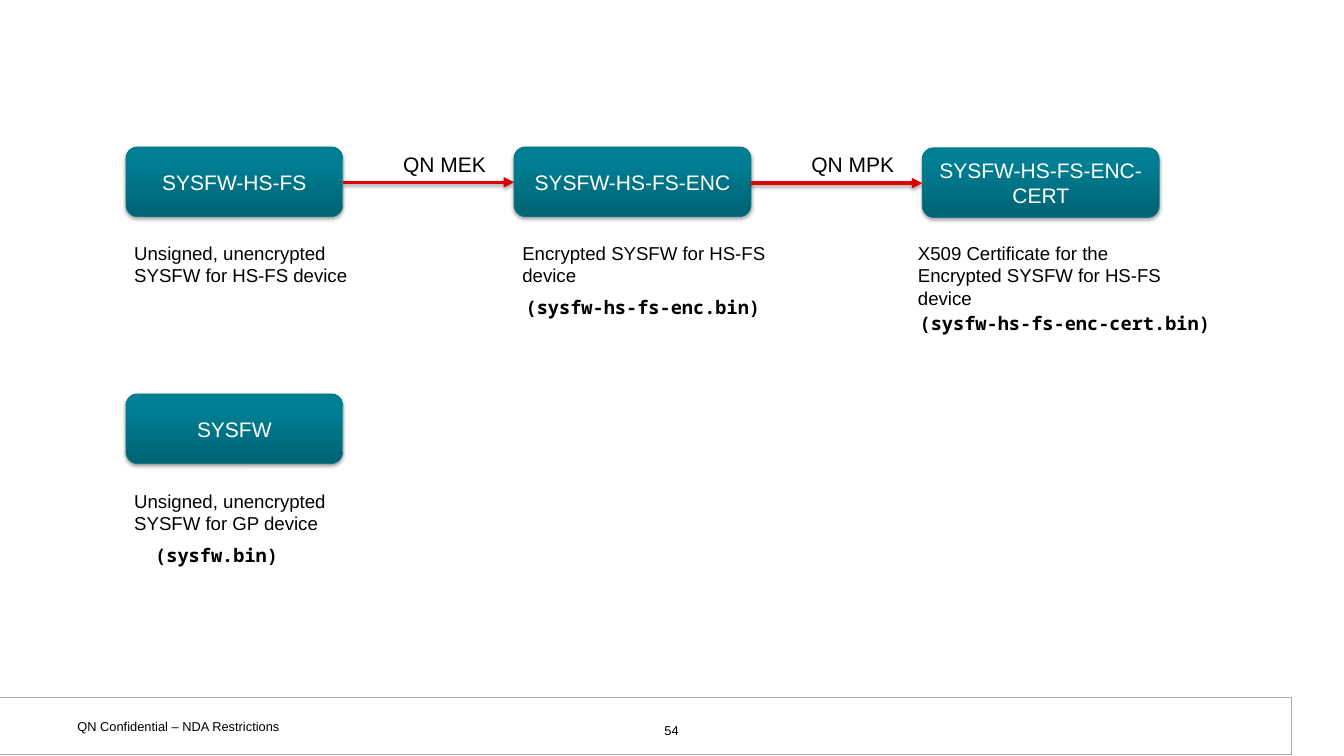
from lxml import etree
from pptx import Presentation
from pptx import util as u
from pptx.dml import color
from pptx.enum import shapes, text
from pptx.oxml import ns


def rgb(value):
    return color.RGBColor.from_string(value)


def add_xml(parent, tag, **attrs):
    return etree.SubElement(parent, ns.qn(tag), attrs)


class Diagram:
    FONT, MONO = "Arial", "Noto Sans Mono"
    BLACK, WHITE, RED, GREY, EDGE = "000000", "FFFFFF", "DE0000", "AAAAAA", "0D7687"
    STOPS = [("0", "006272"), ("80000", "007F94"), ("100000", "008095")]
    BOX_HEIGHT = 0.83

    def __init__(self, slide):
        self.s = slide

    def set_text(self, sp, words, size, font=FONT, fill=BLACK, bold=False,
                 align=text.PP_ALIGN.LEFT, anchor=text.MSO_ANCHOR.TOP, inset=(0.1, 0.05)):
        tf = sp.text_frame
        tf.word_wrap = True
        tf.vertical_anchor = anchor
        tf.margin_left = tf.margin_right = u.Inches(inset[0])
        tf.margin_top = tf.margin_bottom = u.Inches(inset[1])
        p = tf.paragraphs[0]
        p.alignment = align
        r = p.add_run()
        r.text = words
        r.font.name = font
        r.font.size = u.Pt(size)
        r.font.bold = bold
        r.font.color.rgb = rgb(fill)

    def label(self, x, y, w, h, words, size, **style):
        sp = self.s.shapes.add_textbox(*map(u.Inches, (x, y, w, h)))
        self.set_text(sp, words, size, **style)

    def shape(self, kind, x, y, w, h, line):
        sp = self.s.shapes.add_shape(kind, *map(u.Inches, (x, y, w, h)))
        sp.shadow.inherit = False
        sp.fill.solid()
        sp.fill.fore_color.rgb = rgb(self.WHITE)
        sp.line.color.rgb = rgb(line)
        sp.line.width = u.Pt(0.75)
        return sp

    def cast_shadow(self, effects):
        shadow = add_xml(effects, "a:outerShdw", blurRad="40000", dist="23000",
                         dir="5400000", rotWithShape="0")
        tint = add_xml(shadow, "a:srgbClr", val=self.BLACK)
        add_xml(tint, "a:alpha", val="35000")

    def box(self, x, y, w, words):
        sp = self.shape(shapes.MSO_SHAPE.ROUNDED_RECTANGLE, x, y, w, self.BOX_HEIGHT, self.EDGE)
        sp.fill.gradient()
        sp.fill.gradient_angle = 90
        props = sp._element.spPr
        stops = props.find(".//" + ns.qn("a:gsLst"))
        for stop in list(stops):
            stops.remove(stop)
        for position, value in self.STOPS:
            add_xml(add_xml(stops, "a:gs", pos=position), "a:srgbClr", val=value)
        self.cast_shadow(props.find(ns.qn("a:effectLst")))
        self.set_text(sp, words, 18, fill=self.WHITE, align=text.PP_ALIGN.CENTER,
                      anchor=text.MSO_ANCHOR.MIDDLE)

    def arrow(self, x, y, length, words):
        c = self.s.shapes.add_connector(shapes.MSO_CONNECTOR.STRAIGHT,
                                        *map(u.Inches, (x, y, x + length, y)))
        c.line.color.rgb = rgb(self.RED)
        c.line.width = u.Pt(3)
        props = c._element.spPr
        add_xml(props.find(ns.qn("a:ln")), "a:tailEnd", type="triangle")
        self.cast_shadow(add_xml(props, "a:effectLst"))
        self.label(x + 0.62, y - 0.42, 1.42, 0.4, words, 18)

    def caption(self, x, y, w, h, words):
        self.label(x, y, w, h, words, 16)

    def file_name(self, x, y, w, words):
        self.label(x, y, w, 0.36, words, 16, font=self.MONO, bold=True)

    def footer(self, notice, number):
        self.shape(shapes.MSO_SHAPE.RECTANGLE, -0.03, 8.3, 15.4, 0.68, self.GREY)
        self.label(0.79, 8.48, 3.69, 0.32, notice, 11, inset=(0.13, 0.07))
        self.label(6.13, 8.53, 3.73, 0.27, number, 11, inset=(0.13, 0.07),
                   align=text.PP_ALIGN.CENTER)


def main():
    prs = Presentation()
    prs.slide_width, prs.slide_height = u.Inches(16), u.Inches(9)
    d = Diagram(prs.slides.add_slide(prs.slide_layouts[6]))
    d.footer("QN Confidential – NDA Restrictions", "54")

    for x, y, w, words in [
        (1.5, 1.75, 2.58, "SYSFW-HS-FS"),
        (6.12, 1.75, 2.82, "SYSFW-HS-FS-ENC"),
        (10.98, 1.76, 2.82, "SYSFW-HS-FS-ENC-CERT"),
        (1.5, 4.69, 2.58, "SYSFW"),
    ]:
        d.box(x, y, w, words)

    for x, y, words in [(4.08, 2.17, "QN MEK"), (8.94, 2.18, "QN MPK")]:
        d.arrow(x, y, 2.04, words)

    for x, y, w, h, words in [
        (1.5, 2.83, 2.83, 0.63, "Unsigned, unencrypted SYSFW for HS-FS device"),
        (6.12, 2.83, 3.13, 0.63, "Encrypted SYSFW for HS-FS device"),
        (10.83, 2.83, 3.13, 0.9, "X509 Certificate for the Encrypted SYSFW for HS-FS device"),
        (1.5, 5.78, 2.83, 0.63, "Unsigned, unencrypted SYSFW for GP device"),
    ]:
        d.caption(x, y, w, h, words)

    for x, y, w, words in [
        (6.16, 3.47, 3.13, "(sysfw-hs-fs-enc.bin)"),
        (10.85, 3.66, 3.73, "(sysfw-hs-fs-enc-cert.bin)"),
        (1.75, 6.42, 3.13, "(sysfw.bin)"),
    ]:
        d.file_name(x, y, w, words)

    prs.save("out.pptx")


if __name__ == "__main__":
    main()
